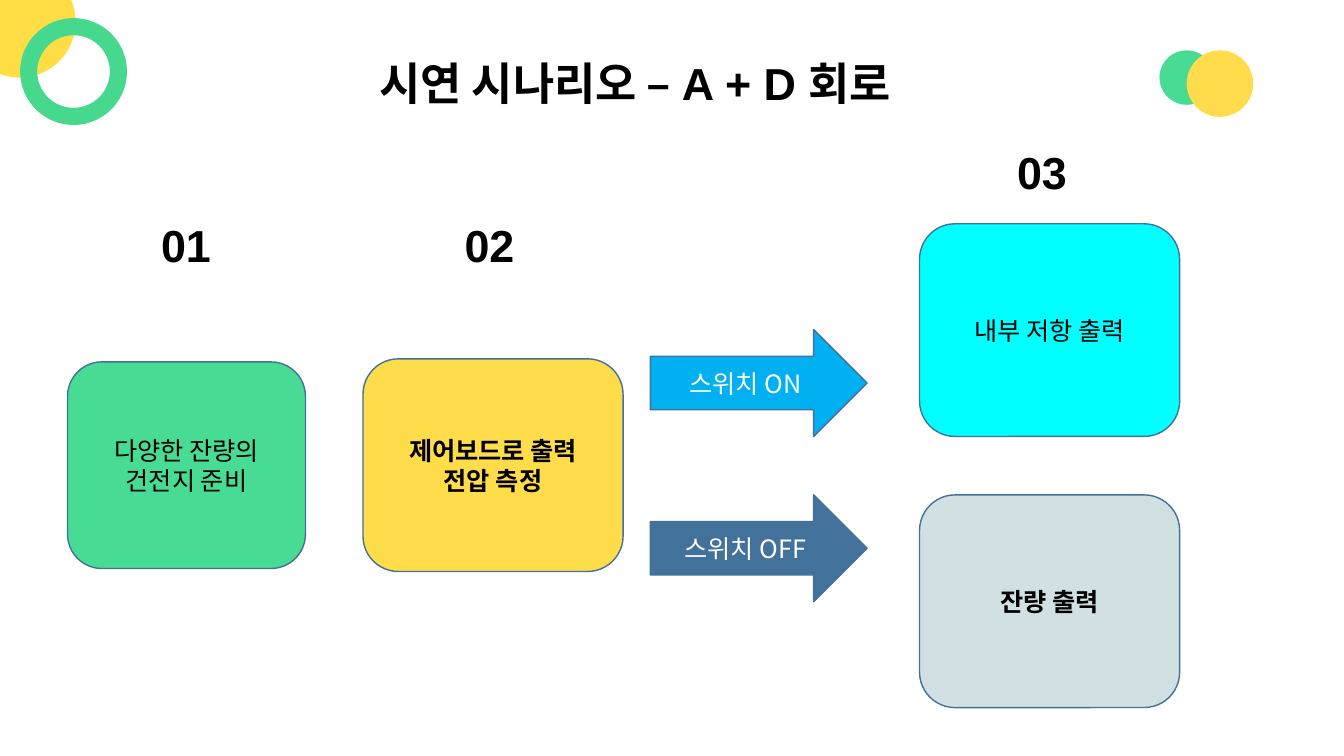
from dataclasses import dataclass

from lxml.etree import SubElement
from pptx import Presentation
from pptx.dml.color import RGBColor
from pptx.enum.shapes import MSO_SHAPE as Shape
from pptx.enum.text import MSO_ANCHOR as Anchor, MSO_AUTO_SIZE as AutoSize, PP_ALIGN as Align
from pptx.oxml.ns import qn
from pptx.util import Emu, Pt

PX = 9144  # 100 px to the inch

BLACK = RGBColor(0x00, 0x00, 0x00)
WHITE = RGBColor(0xFF, 0xFF, 0xFF)
GREEN = RGBColor(0x48, 0xDB, 0x93)
RING_GREEN = RGBColor(0x46, 0xD9, 0x8E)
YELLOW = RGBColor(0xFF, 0xDD, 0x45)
SOFT_YELLOW = RGBColor(0xFF, 0xDC, 0x4B)
BOX_YELLOW = RGBColor(0xFF, 0xDC, 0x49)
CYAN = RGBColor(0x00, 0xFF, 0xFF)
GREY = RGBColor(0xD0, 0xE0, 0xE3)
SKY = RGBColor(0x00, 0xB0, 0xF0)
STEEL = RGBColor(0x42, 0x71, 0x9B)

HEAD_FONT, BOX_FONT, KOREAN_FONT = "Arial", "Karla", "Noto Sans CJK KR"


@dataclass(frozen=True)
class Circle:
    left: int
    top: int
    size: int
    fill: RGBColor
    ring: float = 0  # ring thickness; 0 is a full disc


@dataclass(frozen=True)
class Heading:
    text: str
    left: int
    top: int
    width: int = 83


@dataclass(frozen=True)
class Block:
    text: str
    left: int
    top: int
    width: int
    height: int
    fill: RGBColor
    bold: bool = False
    kind: Shape = Shape.ROUNDED_RECTANGLE
    font: str = BOX_FONT
    color: RGBColor = BLACK


CIRCLES = [
    Circle(-36, -34, 111, YELLOW),
    Circle(1150, 50, 54, GREEN),
    Circle(20, 18, 106, RING_GREEN, ring=0.16),
    Circle(1177, 50, 66, SOFT_YELLOW),
]
HEADINGS = [
    Heading("시연 시나리오 – A + D 회로", 321, 50, 618),
    Heading("01", 143, 211),
    Heading("02", 444, 211),
    Heading("03", 992, 139),
]
ARROW = dict(kind=Shape.RIGHT_ARROW, font=KOREAN_FONT, color=WHITE)
BLOCKS = [
    Block("다양한 잔량의 건전지 준비", 67, 359, 236, 205, GREEN),
    Block("제어보드로 출력 전압 측정", 360, 356, 258, 211, BOX_YELLOW, bold=True),
    Block("내부 저항 출력", 912, 222, 258, 211, CYAN),
    Block("잔량 출력", 912, 491, 258, 211, GREY, bold=True),
    Block("스위치 ON", 645, 327, 215, 106, SKY, **ARROW),
    Block("스위치 OFF", 645, 491, 215, 106, STEEL, **ARROW),
]


def box(*lengths: int) -> list[Emu]:
    return [Emu(n * PX) for n in lengths]


def write(sp, text: str, *, size: int, font: str, color: RGBColor = BLACK, bold: bool = False) -> None:
    tf = sp.text_frame
    tf.word_wrap = True
    p = tf.paragraphs[0]
    p.alignment = Align.CENTER
    r = p.add_run()
    r.text = text
    r.font.size = Pt(size)
    r.font.bold = bold
    r.font.color.rgb = color
    r.font.name = font
    # Hangul typeface
    SubElement(r.font._element, qn("a:ea"), typeface=KOREAN_FONT)


def draw_circle(shapes, c: Circle) -> None:
    kind = Shape.DONUT if c.ring else Shape.OVAL
    sp = shapes.add_shape(kind, *box(c.left, c.top, c.size, c.size))
    if c.ring:
        sp.adjustments[0] = c.ring
    sp.shadow.inherit = False
    sp.fill.solid()
    sp.fill.fore_color.rgb = c.fill
    sp.line.fill.background()


def draw_heading(shapes, h: Heading) -> None:
    sp = shapes.add_textbox(*box(h.left, h.top, h.width, 64))
    write(sp, h.text, size=32, font=HEAD_FONT, bold=True)
    sp.text_frame.auto_size = AutoSize.SHAPE_TO_FIT_TEXT


def draw_block(shapes, b: Block) -> None:
    sp = shapes.add_shape(b.kind, *box(b.left, b.top, b.width, b.height))
    sp.shadow.inherit = False
    sp.fill.solid()
    sp.fill.fore_color.rgb = b.fill
    sp.line.color.rgb = STEEL
    sp.line.width = Pt(1)
    sp.text_frame.vertical_anchor = Anchor.MIDDLE
    write(sp, b.text, size=18, font=b.font, color=b.color, bold=b.bold)


def main() -> None:
    prs = Presentation()
    prs.slide_width, prs.slide_height = box(1333, 750)
    shapes = prs.slides.add_slide(prs.slide_layouts[6]).shapes

    # Corner decoration
    for circle in CIRCLES:
        draw_circle(shapes, circle)
    # Title and step numbers
    for heading in HEADINGS:
        draw_heading(shapes, heading)
    # Steps and switch arrows
    for block in BLOCKS:
        draw_block(shapes, block)

    prs.save("out.pptx")


if __name__ == "__main__":
    main()
